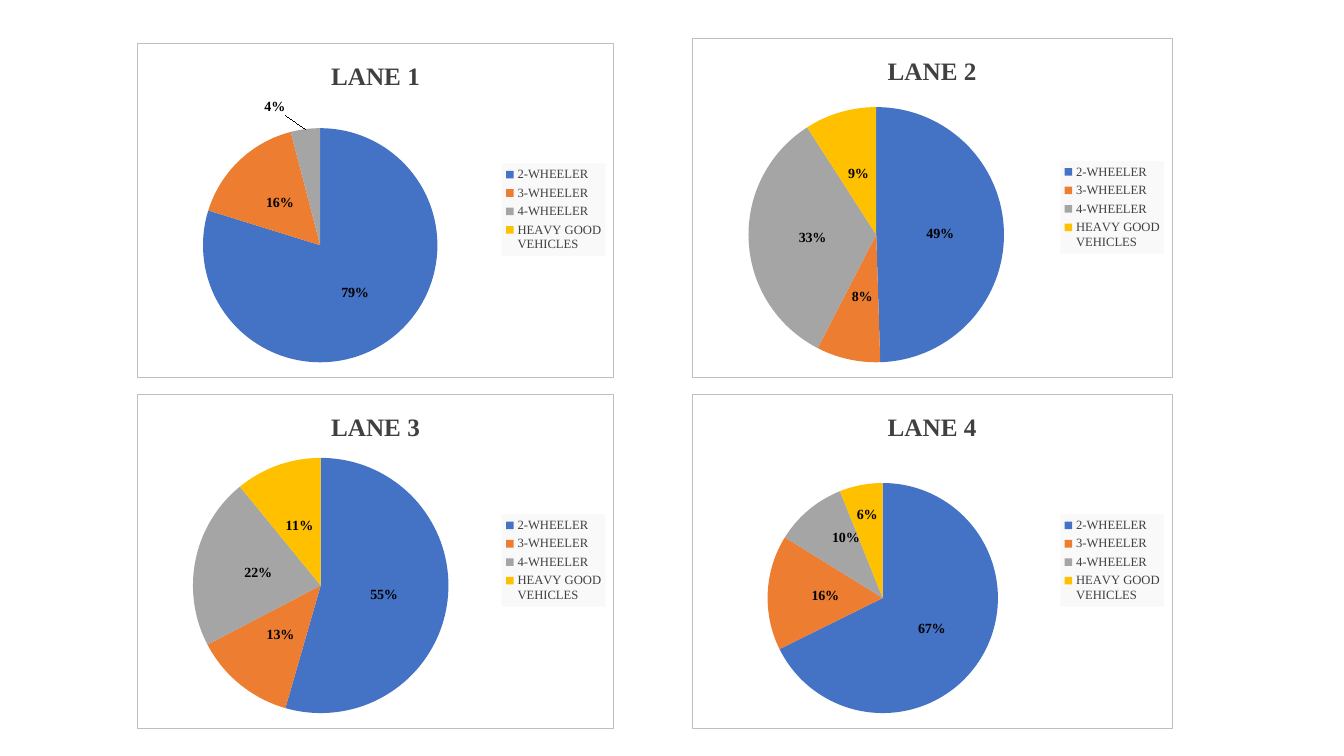
"""Build a slide of four pie charts showing the vehicle mix in each lane."""
from dataclasses import dataclass, field
from typing import Any

from pptx import Presentation, oxml
from pptx import util as u
from pptx.chart import data as chart_data
from pptx.dml.color import RGBColor
from pptx.enum import chart as chart_enum
from pptx.oxml import ns

FONT = "Times New Roman"
BLACK = RGBColor(0x00, 0x00, 0x00)
DARK_GRAY = RGBColor(0x40, 0x40, 0x40)
BORDER_GRAY = RGBColor(0xBF, 0xBF, 0xBF)
LEGEND_GRAY = RGBColor(0xF9, 0xF9, 0xF9)
SLICE_COLORS = (
    RGBColor(0x44, 0x72, 0xC4),
    RGBColor(0xED, 0x7D, 0x31),
    RGBColor(0xA5, 0xA5, 0xA5),
    RGBColor(0xFF, 0xC0, 0x00),
)
VEHICLES = ("2-WHEELER", "3-WHEELER", "4-WHEELER", "HEAVY GOOD VEHICLES")
PERCENT_FORMAT = '0"%"'

TITLE_FORMAT = {"name": FONT, "size": u.Pt(18), "bold": True}
LEGEND_FORMAT = {"name": FONT, "size": u.Pt(9), "bold": False}
LABEL_FORMAT = {"name": FONT, "size": u.Pt(10), "bold": True}
CHART_FORMAT = {"name": FONT, "size": u.Pt(10)}


@dataclass(frozen=True)
class Box:
    """A rectangle in inches."""
    left: float
    top: float
    width: float
    height: float


@dataclass(frozen=True)
class Lane:
    """One lane: its chart frame, its pie and any label shifts."""
    title: str
    shares: tuple[int, ...]
    frame: Box
    pie: Box
    label_shifts: dict[int, tuple[float, float]] = field(default_factory=dict)


LANES = (
    Lane("LANE 1", (79, 16, 4, 0), Box(1.36, 0.43, 4.73, 3.32),
         Box(0.65, 0.84, 2.33, 2.33), {2: (-0.08, -0.24), 3: (0.14, -0.2)}),
    Lane("LANE 2", (49, 8, 33, 9), Box(6.86, 0.38, 4.77, 3.37),
         Box(0.56, 0.68, 2.54, 2.54)),
    Lane("LANE 3", (55, 13, 22, 11), Box(1.36, 3.91, 4.73, 3.32),
         Box(0.55, 0.63, 2.54, 2.54)),
    Lane("LANE 4", (67, 16, 10, 6), Box(6.86, 3.91, 4.77, 3.32),
         Box(0.75, 0.88, 2.29, 2.29), {2: (0, -0.05), 3: (-0.01, -0.08)}),
)


def apply_format(font: Any, values: dict[str, Any], color: RGBColor) -> None:
    """Set font attributes and colour."""
    for name, value in values.items():
        setattr(font, name, value)
    font.color.rgb = color


def chart_xml(markup: str) -> Any:
    """Return a chart element made from markup."""
    head, mark, tail = markup.partition(">")
    return oxml.parse_xml(f"{head} {ns.nsdecls('c', 'a')}{mark}{tail}")


def solid_fill(color: RGBColor) -> str:
    """Return the markup of a solid fill."""
    return f'<a:solidFill><a:srgbClr val="{color}"/></a:solidFill>'


def inner_layout(box: Box, frame: Box, target: str = "") -> Any:
    """Return a layout placing a box within a chart frame."""
    values = {"x": box.left / frame.width, "y": box.top / frame.height,
              "w": box.width / frame.width, "h": box.height / frame.height}
    sizes = "".join(f'<c:{key} val="{value:.4f}"/>' for key, value in values.items())
    return chart_xml(
        f'<c:layout><c:manualLayout>{target}<c:xMode val="edge"/>'
        f'<c:yMode val="edge"/>{sizes}</c:manualLayout></c:layout>')


def style_frame(chart: Any, lane: Lane) -> None:
    """Draw the chart border and place the pie."""
    root = chart.element.xpath("c:chart")[0]
    root.addprevious(chart_xml('<c:roundedCorners val="0"></c:roundedCorners>'))
    root.addnext(chart_xml(
        f'<c:spPr>{solid_fill(RGBColor(0xFF, 0xFF, 0xFF))}'
        f'<a:ln w="{u.Pt(0.75)}">{solid_fill(BORDER_GRAY)}</a:ln></c:spPr>'))
    plot_area = root.xpath("c:plotArea")[0]
    for layout in plot_area.xpath("c:layout"):
        plot_area.remove(layout)
    plot_area.insert(0, inner_layout(
        lane.pie, lane.frame, '<c:layoutTarget val="inner"/>'))


def style_legend(chart: Any, frame: Box) -> None:
    """Add the legend at the right of the chart."""
    chart.has_legend = True
    chart.legend.position = chart_enum.XL_LEGEND_POSITION.RIGHT
    chart.legend.include_in_layout = False
    apply_format(chart.legend.font, LEGEND_FORMAT, DARK_GRAY)
    legend = chart.element.xpath(".//c:legend")[0]
    for layout in legend.xpath("c:layout"):
        legend.remove(layout)
    box = Box(frame.width - 1.11, frame.height / 2 - 0.47, 1.03, 0.92)
    legend.xpath("c:legendPos")[0].addnext(inner_layout(box, frame))
    legend.xpath("c:overlay")[0].addnext(
        chart_xml(f"<c:spPr>{solid_fill(LEGEND_GRAY)}</c:spPr>"))


def style_labels(chart: Any, lane: Lane) -> None:
    """Show a percentage on each slice and shift the crowded ones."""
    series = chart.plots[0].series[0]
    center = chart_enum.XL_LABEL_POSITION.CENTER
    labels = series.data_labels
    label_values = {"show_value": True, "number_format": PERCENT_FORMAT,
                    "number_format_is_linked": False, "position": center}
    for name, value in label_values.items():
        setattr(labels, name, value)
    apply_format(labels.font, LABEL_FORMAT, BLACK)
    for index, (x, y) in lane.label_shifts.items():
        label = series.points[index].data_label
        apply_format(label.font, LABEL_FORMAT, BLACK)
        label.position = center
        anchor = chart.element.xpath(f".//c:dLbl/c:idx[@val='{index}']")[0]
        anchor.addnext(chart_xml(
            "<c:numFmt formatCode='0\"%\"' sourceLinked='0'></c:numFmt>"))
        anchor.addnext(chart_xml(
            f'<c:layout><c:manualLayout><c:x val="{x}"/><c:y val="{y}"/>'
            '</c:manualLayout></c:layout>'))
    for leader in chart.element.xpath(".//c:ser/c:dLbls/c:showLeaderLines"):
        leader.set("val", "1")


def add_lane_chart(slide: Any, lane: Lane) -> None:
    """Add the pie chart of one lane."""
    values = chart_data.CategoryChartData()
    values.categories = VEHICLES
    values.add_series("Series 1", lane.shares)
    frame = lane.frame
    chart = slide.shapes.add_chart(
        chart_enum.XL_CHART_TYPE.PIE, u.Inches(frame.left), u.Inches(frame.top),
        u.Inches(frame.width), u.Inches(frame.height), values).chart
    style_frame(chart, lane)
    apply_format(chart.font, CHART_FORMAT, BLACK)
    chart.has_title = True
    chart.chart_title.include_in_layout = False
    title = chart.chart_title.text_frame
    title.text = lane.title
    apply_format(title.paragraphs[0].runs[0].font, TITLE_FORMAT, DARK_GRAY)
    style_legend(chart, frame)
    plot = chart.plots[0]
    plot.vary_by_categories = True
    for index, color in enumerate(SLICE_COLORS):
        fill = plot.series[0].points[index].format.fill
        fill.solid()
        fill.fore_color.rgb = color
    style_labels(chart, lane)


def main() -> None:
    """Create the presentation and save it."""
    presentation = Presentation()
    presentation.slide_width = u.Inches(13.33)
    presentation.slide_height = u.Inches(7.5)
    slide = presentation.slides.add_slide(presentation.slide_layouts[6])
    for lane in LANES:
        add_lane_chart(slide, lane)
    presentation.save("out.pptx")


if __name__ == "__main__":
    main()
